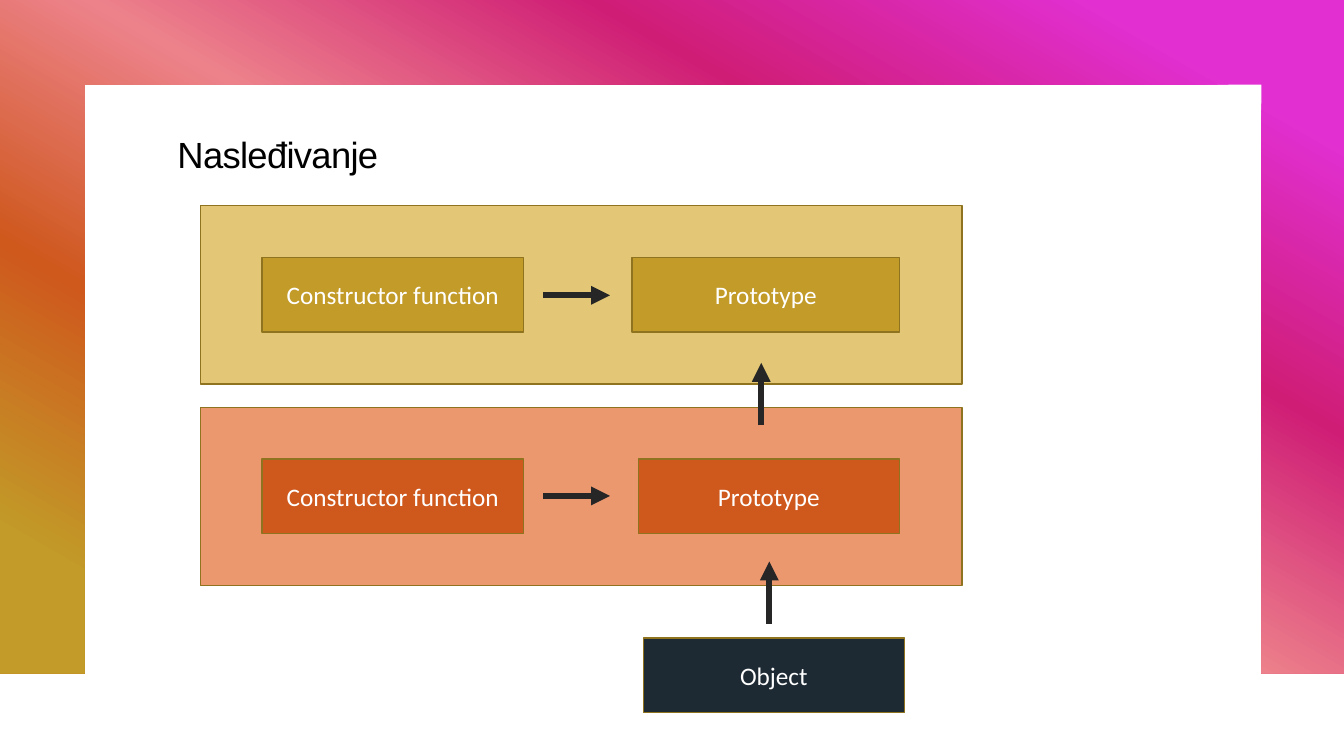
from lxml.etree import SubElement
from pptx import Presentation
from pptx.dml.color import RGBColor
from pptx.enum.shapes import MSO_CONNECTOR, MSO_SHAPE
from pptx.enum.text import MSO_ANCHOR, PP_ALIGN
from pptx.oxml import parse_xml
from pptx.oxml.ns import nsdecls, qn
from pptx.util import Inches, Pt

THEME = {
    "title": {"name": "Arial", "size": Pt(26), "color": "000000"},
    "label": {"name": "Calibri", "size": Pt(18), "color": "FFFFFF"},
    "border": "90731E", "border_width": Pt(1),
    "arrow": "262626", "arrow_width": Pt(4.5),
    "object": "1D2A34",
    "frame": [(10, "E12FD2"), (30, "CF1D76"), (50, "ED828B"),
              (70, "CF581D"), (90, "C29B28")],
    "frame_angle": 120,
}

TITLE = "Nasleđivanje"
FRAME = [(0, 0), (13.33, 0), (13.33, 6.68), (12.51, 6.68),
         (12.51, 0.84), (0.84, 0.84), (0.84, 6.68), (0, 6.68)]
# top, panel fill, box fill, left edge of the prototype box
LEVELS = [(2.04, "E3C776", "C29B28", 6.27),
          (4.04, "EB986F", "CF581D", 6.33)]
PANEL_LEFT, PANEL_W, PANEL_H = 1.99, 7.55, 1.77
BOX_LEFT, BOX_RIGHT, BOX_W, BOX_H = 2.6, 8.92, 2.59, 0.74
BOX_INSET = (PANEL_H - BOX_H) / 2
ARROWS = [(5.39, 2.93, 6.05, 2.93), (5.39, 4.92, 6.05, 4.92),
          (7.63, 6.19, 7.63, 5.57), (7.55, 4.22, 7.55, 3.6)]


def set_font(font, style):
    font.name, font.size = style["name"], style["size"]
    font.color.rgb = RGBColor.from_string(style["color"])


def add_frame(shapes):
    """Draw the open gradient border around the content area."""
    points = [(Inches(x), Inches(y)) for x, y in FRAME]
    builder = shapes.build_freeform(*points[0], scale=1.0)
    builder.add_line_segments(points[1:], close=True)
    sp = builder.convert_to_shape()
    sp.shadow.inherit = False
    sp.line.fill.background()
    stops = "".join(f'<a:gs pos="{pos * 1000}"><a:srgbClr val="{color}"/></a:gs>'
                    for pos, color in THEME["frame"])
    gradient = parse_xml(
        f'<a:gradFill {nsdecls("a")} rotWithShape="1"><a:gsLst>{stops}</a:gsLst>'
        f'<a:lin ang="{THEME["frame_angle"] * 60000}" scaled="0"/></a:gradFill>')
    sp._element.spPr.find(qn("a:custGeom")).addnext(gradient)


def add_title(slide):
    title = slide.shapes.title
    title.left, title.top, title.width, title.height = map(
        Inches, (1.66, 1.29, 10, 0.89))
    tf = title.text_frame
    tf.vertical_anchor = MSO_ANCHOR.TOP
    p = tf.paragraphs[0]
    p.alignment = PP_ALIGN.LEFT
    p.line_spacing = 0.95
    r = p.add_run()
    r.text = TITLE
    set_font(r.font, THEME["title"])
    r.font._element.set("spc", "-50")


def add_box(shapes, left, top, width, height, fill, label=None):
    sp = shapes.add_shape(MSO_SHAPE.RECTANGLE,
                          *map(Inches, (left, top, width, height)))
    sp.shadow.inherit = False
    sp.fill.solid()
    sp.fill.fore_color.rgb = RGBColor.from_string(fill)
    sp.line.color.rgb = RGBColor.from_string(THEME["border"])
    sp.line.width = THEME["border_width"]
    if label:
        tf = sp.text_frame
        tf.vertical_anchor = MSO_ANCHOR.MIDDLE
        p = tf.paragraphs[0]
        p.alignment = PP_ALIGN.CENTER
        r = p.add_run()
        r.text = label
        set_font(r.font, THEME["label"])


def add_arrow(shapes, ends):
    arrow = shapes.add_connector(MSO_CONNECTOR.STRAIGHT, *map(Inches, ends))
    arrow.line.color.rgb = RGBColor.from_string(THEME["arrow"])
    arrow.line.width = THEME["arrow_width"]
    SubElement(arrow.line._get_or_add_ln(), qn("a:tailEnd"), type="triangle")
    SubElement(arrow._element.spPr, qn("a:effectLst"))


def main():
    prs = Presentation()
    prs.slide_width, prs.slide_height = Inches(13.33), Inches(7.5)
    slide = prs.slides.add_slide(prs.slide_layouts[5])
    shapes = slide.shapes
    add_frame(shapes)
    add_title(slide)
    for top, panel_fill, box_fill, prototype_left in LEVELS:
        add_box(shapes, PANEL_LEFT, top, PANEL_W, PANEL_H, panel_fill)
        box_top = top + BOX_INSET
        add_box(shapes, BOX_LEFT, box_top, BOX_W, BOX_H, box_fill,
                "Constructor function")
        add_box(shapes, prototype_left, box_top, BOX_RIGHT - prototype_left,
                BOX_H, box_fill, "Prototype")
    add_box(shapes, 6.38, 6.33, BOX_W, BOX_H, THEME["object"], "Object")
    for ends in ARROWS:
        add_arrow(shapes, ends)
    prs.save("out.pptx")


if __name__ == "__main__":
    main()
